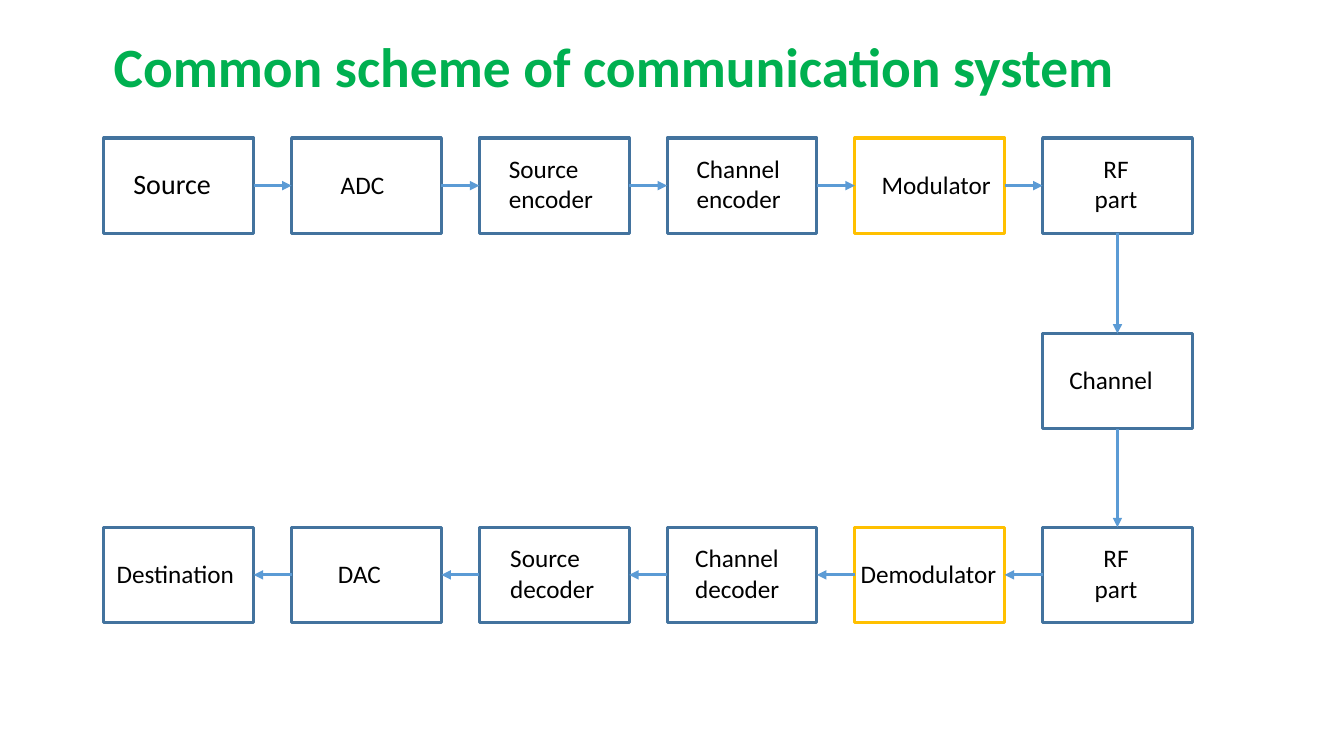
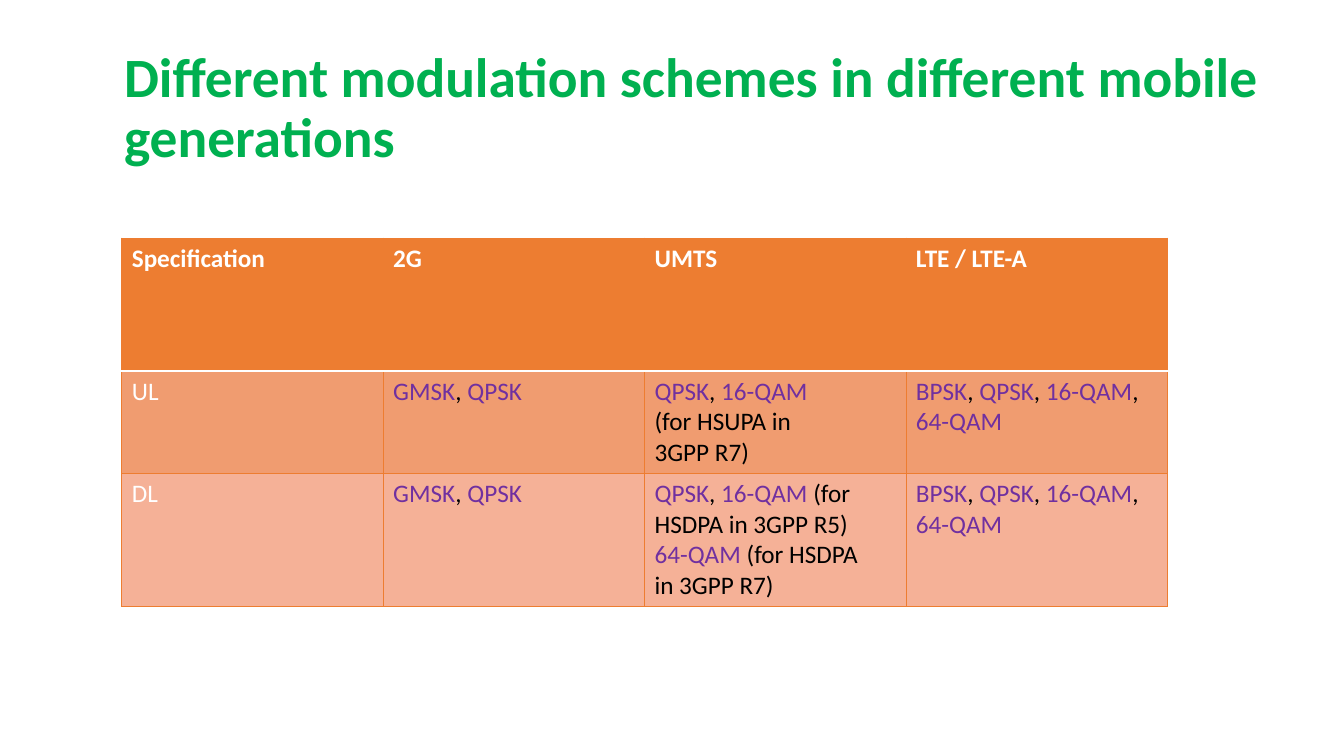
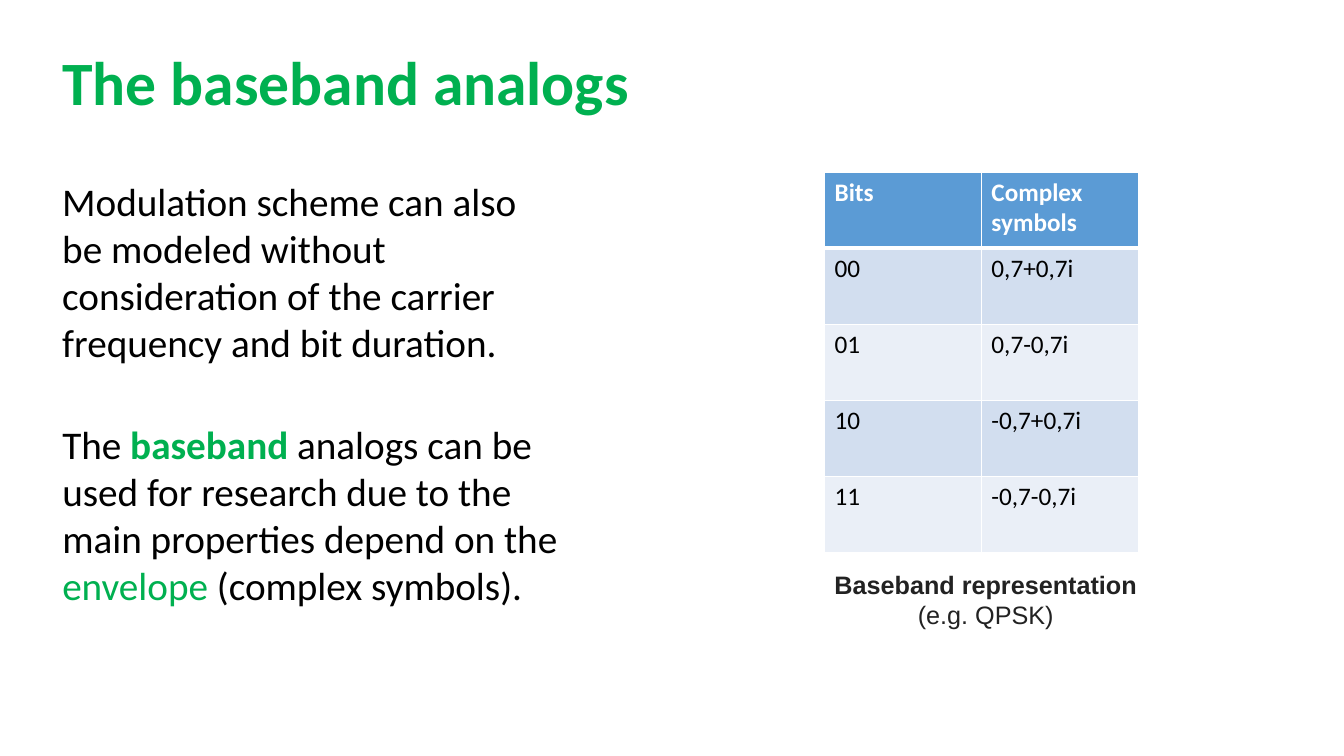
import dataclasses
import itertools

import lxml.etree
import pptx
import pptx.dml.color
import pptx.enum.shapes
import pptx.enum.text
import pptx.oxml.ns
import pptx.util

Pt = pptx.util.Pt
qn = pptx.oxml.ns.qn
ALIGN = pptx.enum.text.PP_ALIGN
ANCHOR = pptx.enum.text.MSO_ANCHOR
FIT = pptx.enum.text.MSO_AUTO_SIZE


@dataclasses.dataclass(frozen=True)
class Theme:
    font: str = "Calibri"
    caption_font: str = "Arial"
    heading: str = "00B050"
    ink: str = "000000"
    caption: str = "222222"
    paper: str = "FFFFFF"
    scheme: str = "7030A0"
    block: str = "43739E"
    highlight: str = "FFC000"
    arrow: str = "5B9BD5"
    orange: str = "ED7D31"
    uplink: str = "F09C70"
    downlink: str = "F5B197"
    band_dark: str = "D2DEEF"
    band_light: str = "EAEFF7"
    title_size: float = 39.6
    large_title_size: float = 44
    body_size: float = 28
    source_size: float = 20
    label_size: float = 18
    line_width: float = 2.25


THEME = Theme()


def rgb(colour):
    return pptx.dml.color.RGBColor.from_string(colour)


def assign(target, values):
    for name, value in values.items():
        setattr(target, name, value)


class Deck:
    def __init__(self, theme):
        self.theme = theme
        self.presentation = pptx.Presentation()
        assign(self.presentation, {"slide_width": Pt(960), "slide_height": Pt(540)})
        self.slide = None

    def typeset(self, frame, paragraphs, size, colour=None, bold=False, font=None, aligns=(ALIGN.LEFT,)):
        base = {"size": size, "colour": colour or self.theme.ink, "bold": bold,
                "font": font or self.theme.font}
        for index, runs in enumerate(paragraphs):
            paragraph = frame.paragraphs[0] if index == 0 else frame.add_paragraph()
            paragraph.alignment = aligns[min(index, len(aligns) - 1)]
            for text, changes in [(runs, {})] if isinstance(runs, str) else runs:
                style = {**base, **changes}
                for number, line in enumerate(text.split("\n")):
                    if number:
                        paragraph.add_line_break()
                    if not line:
                        continue
                    run = paragraph.add_run()
                    run.text = line
                    assign(run.font, {"name": style["font"], "size": Pt(style["size"]),
                                      "bold": style["bold"]})
                    run.font.color.rgb = rgb(style["colour"])

    def page(self, title, left, top, width, height, size):
        self.slide = self.presentation.slides.add_slide(self.presentation.slide_layouts[5])
        heading = self.slide.shapes.title
        assign(heading, {"left": Pt(left), "top": Pt(top), "width": Pt(width), "height": Pt(height)})
        assign(heading.text_frame, {"word_wrap": True, "auto_size": FIT.NONE,
                                    "vertical_anchor": ANCHOR.MIDDLE})
        self.typeset(heading.text_frame, [title], size, self.theme.heading, True)
        heading.text_frame.paragraphs[0].line_spacing = 0.9

    def text(self, left, top, width, height, paragraphs, size, wrap=True, **style):
        box = self.slide.shapes.add_textbox(Pt(left), Pt(top), Pt(width), Pt(height))
        assign(box.text_frame, {"word_wrap": wrap, "auto_size": FIT.SHAPE_TO_FIT_TEXT})
        self.typeset(box.text_frame, paragraphs, size, **style)

    def block(self, left, top, width, height, colour):
        rectangle = self.slide.shapes.add_shape(
            pptx.enum.shapes.MSO_SHAPE.RECTANGLE, Pt(left), Pt(top), Pt(width), Pt(height))
        rectangle.shadow.inherit = False
        rectangle.fill.background()
        rectangle.line.color.rgb = rgb(colour)
        rectangle.line.width = Pt(self.theme.line_width)
        return rectangle

    def arrow(self, start, start_side, end, end_side):
        link = self.slide.shapes.add_connector(pptx.enum.shapes.MSO_CONNECTOR.STRAIGHT, 0, 0, 0, 0)
        link.begin_connect(start, start_side)
        link.end_connect(end, end_side)
        link.line.color.rgb = rgb(self.theme.arrow)
        link.line.width = Pt(self.theme.line_width)
        lxml.etree.SubElement(link.line._get_or_add_ln(), qn("a:tailEnd"), type="triangle")
        lxml.etree.SubElement(link._element.spPr, qn("a:effectLst"))

    def border(self, cell, sides):
        properties = cell._tc.get_or_add_tcPr()
        for index, (side, (colour, width)) in enumerate(sides.items()):
            edge = lxml.etree.Element(qn("a:ln" + side), w=str(int(Pt(width))))
            fill = lxml.etree.SubElement(edge, qn("a:solidFill"))
            lxml.etree.SubElement(fill, qn("a:srgbClr"), val=colour)
            properties.insert(index, edge)

    def table(self, left, top, column_width, row_heights, rows, fills, grid, header_rule):
        columns = len(rows[0])
        table = self.slide.shapes.add_table(
            len(rows), columns, Pt(left), Pt(top),
            Pt(column_width * columns), Pt(sum(row_heights))).table
        table.horz_banding = False
        for column in table.columns:
            column.width = Pt(column_width)
        for index, (height, values, fill) in enumerate(zip(row_heights, rows, fills)):
            table.rows[index].height = Pt(height)
            header = index == 0
            for cell, value in zip(table.rows[index].cells, values):
                cell.fill.solid()
                cell.fill.fore_color.rgb = rgb(fill)
                self.border(cell, {"L": grid, "R": grid,
                                   "T": header_rule if index == 1 else grid,
                                   "B": header_rule if header else grid})
                self.typeset(cell.text_frame, [value], self.theme.label_size,
                             self.theme.paper if header else self.theme.ink, header)


def communication_scheme(deck):
    theme = deck.theme
    deck.page("Common scheme of communication system", 74, 24, 858, 51, theme.title_size)
    left, pitch, width, height = 74.2, 134.1, 107, 68
    sending, channel, receiving = 98.6, 238.3, 376.6
    one_line, two_lines = 29, 51
    stages = [
        (["Source"], 0, sending, 14, 83, 32),
        (["ADC"], 1, sending, 28, 73, one_line),
        (["Source encoder"], 2, sending, 14, 87, two_lines),
        (["Channel encoder"], 3, sending, 14, 92, two_lines),
        (["Modulator"], 4, sending, 12, 107, one_line),
        (["RF", "part"], 5, sending, 14, 77, two_lines),
        (["Channel"], 5, channel, 12, 81, one_line),
        (["RF", "part"], 5, receiving, 14, 77, two_lines),
        (["Demodulator"], 4, receiving, -3, 120, one_line),
        (["Channel decoder"], 3, receiving, 13, 93, two_lines),
        (["Source decoder"], 2, receiving, 15, 81, two_lines),
        (["DAC"], 1, receiving, 26, 73, one_line),
        (["Destination"], 0, receiving, 2, 112, one_line),
    ]
    blocks = []
    for words, column, top, indent, label_width, label_height in stages:
        x = left + column * pitch
        blocks.append(deck.block(x, top, width, height,
                                 theme.highlight if column == 4 else theme.block))
        deck.text(x + indent, top + (height - 2 - label_height) / 2, label_width, label_height, words,
                  theme.source_size if words == ["Source"] else theme.label_size,
                  aligns=(ALIGN.CENTER if len(words) > 1 else ALIGN.LEFT,))
    sides = [(3, 1)] * 5 + [(2, 0)] * 2 + [(1, 3)] * 5
    for (start, end), (start_side, end_side) in zip(itertools.pairwise(blocks), sides):
        deck.arrow(start, start_side, end, end_side)


def modulation_by_generation(deck):
    theme = deck.theme
    deck.page("Different modulation schemes in different mobile generations",
              81.4, 52.6, 858, 51, theme.title_size)

    def schemes(*names):
        runs = []
        for name in names:
            runs += [(", ", {})] if runs else []
            runs.append((name, {"colour": theme.scheme}))
        return runs

    def direction(name):
        return [(name, {"colour": theme.paper})]

    second = schemes("GMSK", "QPSK")
    third = schemes("QPSK", "16-QAM")
    fourth = schemes("BPSK", "QPSK", "16-QAM", "64-QAM")
    rows = [
        ["Specification", "2G", "UMTS", "LTE / LTE-A"],
        [direction("UL"), second, third + [("\n(for HSUPA in\n3GPP R7)", {})], fourth],
        [direction("DL"), second,
         third + [(" (for\nHSDPA in 3GPP R5)\n", {})] + schemes("64-QAM")
         + [(" (for HSDPA\nin 3GPP R7)", {})], fourth],
    ]
    deck.table(87, 170, 186.7, [95, 73, 95], rows, [theme.orange, theme.uplink, theme.downlink],
               (theme.orange, 0.5), (theme.paper, 1))


def baseband_analogs(deck):
    theme = deck.theme
    deck.page("The baseband analogs", 37.4, 8.6, 871, 104.4, theme.large_title_size)
    deck.text(37.4, 123, 354, 143,
              ["Modulation scheme can also be modeled without consideration of the carrier "
               "frequency and bit duration."], theme.body_size)
    deck.table(589, 123, 112, [54.4] * 5,
               [["Bits", "Complex symbols"], ["00", "0,7+0,7i"], ["01", "0,7-0,7i"],
                ["10", "-0,7+0,7i"], ["11", "-0,7-0,7i"]],
               [theme.arrow] + [theme.band_dark, theme.band_light] * 2,
               (theme.paper, 1), (theme.paper, 3))
    deck.text(589, 403, 232.6, 51,
              [[("Baseband representation", {"bold": True})], "(e.g. QPSK)"],
              theme.label_size, wrap=False, colour=theme.caption, font=theme.caption_font,
              aligns=(ALIGN.LEFT, ALIGN.CENTER))
    deck.text(37.4, 296.6, 392.4, 143,
              [[("The ", {}), ("baseband", {"colour": theme.heading, "bold": True}),
                (" analogs can be used for research due to the main properties depend on the ", {}),
                ("envelope", {"colour": theme.heading}), (" (complex symbols).", {})]],
              theme.body_size)


def main():
    deck = Deck(THEME)
    communication_scheme(deck)
    modulation_by_generation(deck)
    baseband_analogs(deck)
    deck.presentation.save("out.pptx")


if __name__ == "__main__":
    main()
